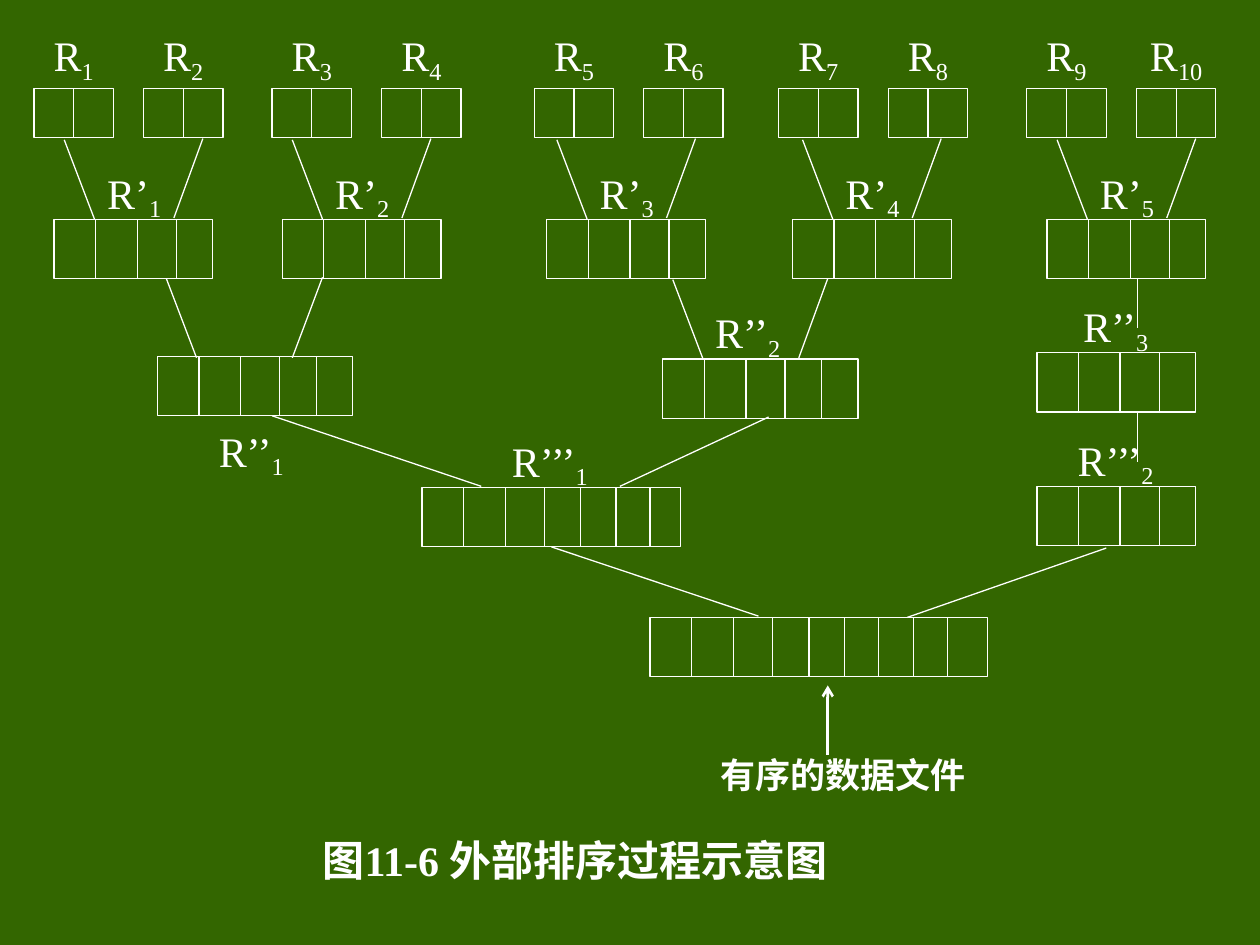
from lxml import etree
from pptx import Presentation
from pptx.dml.color import RGBColor
from pptx.enum import shapes, text
from pptx.oxml import ns
from pptx.util import Inches, Pt

GREEN, WHITE = "336600", "FFFFFF"
FONT = "Times New Roman"
DIVIDERS = [0.33, 0.66, 0.97, 1.26, 1.54, 1.81, 2.09, 2.36]
BAR_HEIGHT = 0.47
RUN_TOP, RUN_WIDTH, RUN_HEIGHT, PAIR_STEP = 0.7, 0.63, 0.39, 0.87
PAIR_LEFTS = [0.27, 2.16, 4.24, 6.18, 8.15]
FIRST_MERGE_LEFTS = [0.43, 2.24, 4.34, 6.29, 8.31]
FIRST_MERGE_TOP, FIRST_MERGE_WIDTH = 1.74, 1.26

LATER_BARS = {
    "second left": (1.25, 2.83, 1.55, 4),
    "second middle": (5.26, 2.85, 1.55, 4),
    "second right": (8.23, 2.8, 1.26, 3),
    "third left": (3.35, 3.87, 2.05, 6),
    "third right": (8.23, 3.86, 1.26, 3),
    "sorted file": (5.16, 4.9, 2.68, 8),
}
LATER_LABELS = [
    ("R’’", "1", 1.68, 3.4),
    ("R’’", "2", 5.62, 2.46),
    ("R’’", "3", 8.54, 2.41),
    ("R’’’", "1", 4.05, 3.48),
    ("R’’’", "2", 8.54, 3.47),
]
MERGE_LINES = [
    (1.32, 2.21, 1.56, 2.84), (2.56, 2.2, 2.32, 2.84),
    (5.34, 2.22, 5.58, 2.85), (6.57, 2.21, 6.34, 2.84),
    (9.03, 2.21, 9.03, 2.6), (9.03, 3.28, 9.03, 3.67),
    (2.16, 3.3, 3.82, 3.86), (6.1, 3.31, 4.92, 3.86),
    (8.78, 4.35, 7.2, 4.9),
]

deck = Presentation()
deck.slide_width, deck.slide_height = Inches(10), Inches(7.5)
page = deck.slides.add_slide(deck.slide_layouts[6])


def color(value):
    return RGBColor.from_string(value)


def add_text(words, left, top, width, height, size=24, bold=False, subscript=""):
    box = page.shapes.add_textbox(*map(Inches, (left, top, width, height)))
    frame = box.text_frame
    frame.word_wrap = False
    frame.vertical_anchor = text.MSO_ANCHOR.MIDDLE
    frame.margin_left = frame.margin_right = frame.margin_top = frame.margin_bottom = 0
    para = frame.paragraphs[0]
    para.alignment = text.PP_ALIGN.CENTER
    for part in filter(None, (words, subscript)):
        span = para.add_run()
        span.text = part
        span.font.name, span.font.size, span.font.bold = FONT, Pt(size), bold
        span.font.color.rgb = color(WHITE)
    if subscript:
        span.font._element.set("baseline", "-20000")


def add_line(x1, y1, x2, y2, width=0.75, arrow=False):
    line = page.shapes.add_connector(
        shapes.MSO_CONNECTOR.STRAIGHT, *map(Inches, (x1, y1, x2, y2)))
    line.line.color.rgb = color(WHITE)
    line.line.width = Pt(width)
    if arrow:
        etree.SubElement(line.line._get_or_add_ln(), ns.qn("a:tailEnd"), type="arrow")
    etree.SubElement(line._element.spPr, ns.qn("a:effectLst"))
    return line


def add_box(left, top, width, height):
    box = page.shapes.add_shape(
        shapes.MSO_SHAPE.RECTANGLE, *map(Inches, (left, top, width, height)))
    box.shadow.inherit = False
    box.fill.background()
    box.line.color.rgb = color(WHITE)
    box.line.width = Pt(0.75)
    return box


def add_bar(left, top, width, count):
    bar = add_box(left, top, width, BAR_HEIGHT)
    for offset in DIVIDERS[:count]:
        add_line(left + offset, top, left + offset, top + BAR_HEIGHT)
    return bar


def add_run_box(number, left):
    add_text("R", left + 0.08, 0.28, 0.47, 0.35, subscript=str(number))
    box = add_box(left, RUN_TOP, RUN_WIDTH, RUN_HEIGHT)
    middle = left + RUN_WIDTH / 2
    divider = add_line(middle, RUN_TOP, middle, RUN_TOP + RUN_HEIGHT)
    divider.begin_connect(box, 0)
    divider.end_connect(box, 2)


def add_first_merge(number, left):
    top = FIRST_MERGE_TOP
    add_bar(left, top, FIRST_MERGE_WIDTH, 3)
    add_text("R’", left + 0.32, 1.35, 0.63, 0.39, subscript=str(number))
    add_line(left + 0.08, 1.11, left + 0.32, top)
    add_line(left + 1.18, 1.1, left + 0.95, top - 0.01)


page.background.fill.solid()
page.background.fill.fore_color.rgb = color(GREEN)

for index, (pair_left, merge_left) in enumerate(zip(PAIR_LEFTS, FIRST_MERGE_LEFTS)):
    for side in range(2):
        add_run_box(2 * index + side + 1, pair_left + side * PAIR_STEP)
    add_first_merge(index + 1, merge_left)

bars = {name: add_bar(*place) for name, place in LATER_BARS.items()}
for words, subscript, left, top in LATER_LABELS:
    add_text(words, left, top, 0.63, 0.39, subscript=subscript)
for ends in MERGE_LINES:
    add_line(*ends)
add_line(4.37, 4.34, 6.02, 4.89).begin_connect(bars["third left"], 2)

add_line(6.57, 5.99, 6.57, 5.44, width=1.5, arrow=True)
add_text("有序的数据文件", 5.63, 5.95, 2.12, 0.39, size=20, bold=True)
add_text("图11-6 外部排序过程示意图", 2.48, 6.59, 4.17, 0.47, bold=True)

deck.save("out.pptx")
